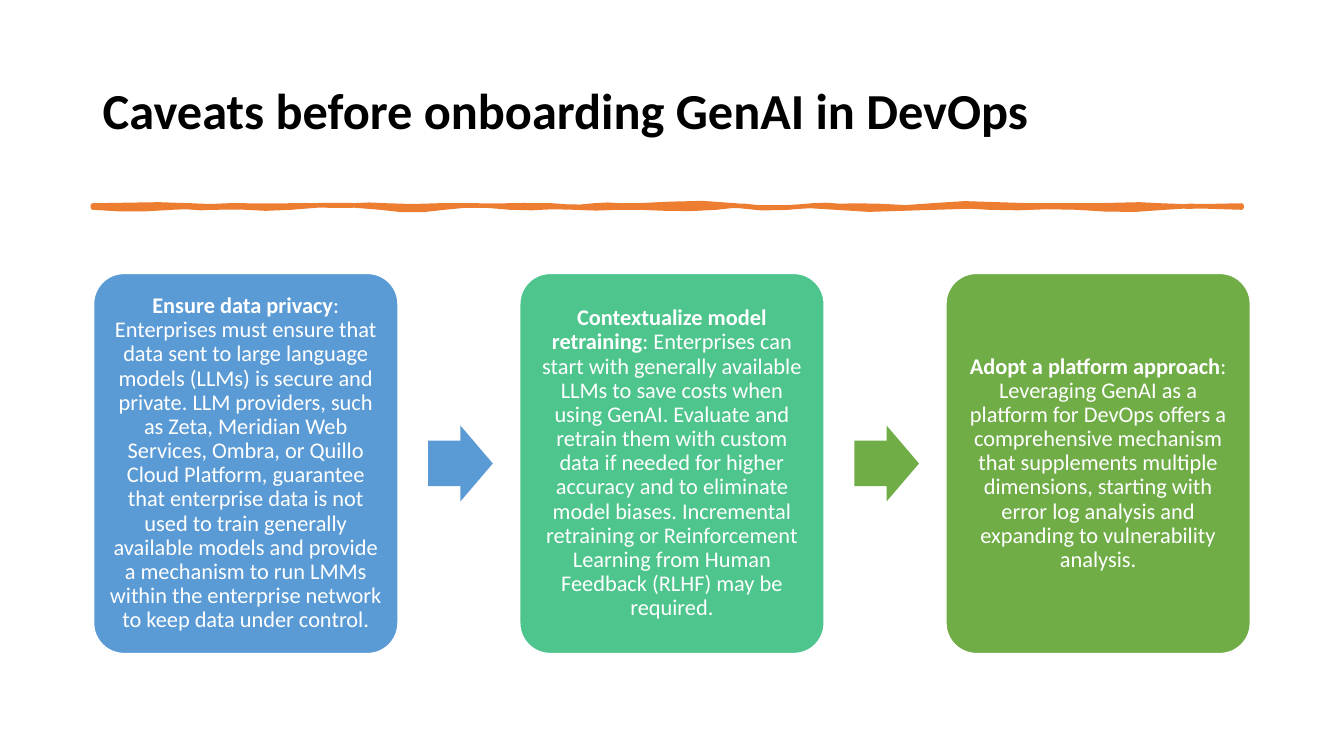
from dataclasses import dataclass

from pptx import Presentation
from pptx.dml.color import RGBColor
from pptx.enum import shapes, text
from pptx.util import Cm, Pt

TITLE = "Caveats before onboarding GenAI in DevOps"

# heading, body, card colour, colour of the arrow that follows
CAVEATS = [
    ("Ensure data privacy",
     ": Enterprises must ensure that data sent to large language models (LLMs) is "
     "secure and private. LLM providers, such as Zeta, Meridian Web Services, Ombra, or "
     "Quillo Cloud Platform, guarantee that enterprise data is not used to train "
     "generally available models and provide a mechanism to run LMMs within the "
     "enterprise network to keep data under control.",
     "5B9BD5", "5B9BD5"),
    ("Contextualize model retraining",
     ": Enterprises can start with generally available LLMs to save costs when using "
     "GenAI. Evaluate and retrain them with custom data if needed for higher accuracy "
     "and to eliminate model biases. Incremental retraining or Reinforcement Learning "
     "from Human Feedback (RLHF) may be required.",
     "4DC58D", "70AD47"),
    ("Adopt a platform approach",
     ": Leveraging GenAI as a platform for DevOps offers a comprehensive mechanism "
     "that supplements multiple dimensions, starting with error log analysis and "
     "expanding to vulnerability analysis.",
     "70AD47", None),
]

# Brush stroke edges: end x in cm, then the bulge leaving and reaching each knot
UPPER_EDGE = [
    (4.83, 0, -2), (6.2, 2, -1), (8.41, 1, -1), (9.75, 1, -2), (11.68, 2, -1),
    (13.92, 1, -1), (14.96, 1, 2), (16.03, -2, 1), (18.54, -1, -4), (20.47, 4, 2),
    (21.54, -2, 2), (23.47, -1, 4), (25.98, -4, 0), (27.61, 0, 0), (29.26, 0, -2),
    (31.29, 2, 0),
]
LOWER_EDGE = [
    (29.36, 0, -3), (27.13, 3, 2), (24.92, -2, 2), (23.57, -2, 0), (21.06, 0, 4),
    (19.13, -4, 2), (18.06, -2, -2), (16.13, 2, 1), (14.48, -1, 2), (12.85, -2, 2),
    (11.2, -2, -3), (9.58, 3, 3), (7.34, -3, -3), (5.41, 3, -2), (4.34, 2, -2),
    (2.34, 2, 2),
]
STROKE_LEFT, STROKE_RIGHT = 2.34, 31.29
STROKE_TOP, STROKE_BOTTOM = 5.18, 5.23
BULGE = 0.03
CURVE_STEPS = 3

CARD_LEFT, CARD_TOP, CARD_WIDTH, CARD_HEIGHT = 2.36, 6.89, 7.67, 9.58
CARD_PITCH = 10.74
ARROW_OFFSET, ARROW_WIDTH, ARROW_HEIGHT = 8.43, 1.63, 1.91


@dataclass(frozen=True)
class Theme:
    font: str = "Calibri"
    title_size: int = 36
    body_size: int = 16
    title_color: str = "000000"
    card_text: str = "FFFFFF"
    card_line: str = "FFFFFF"
    stroke: str = "ED7D31"
    stroke_width: float = 3.25


THEME = Theme()


def paint(shape, fill, line=None, width=1):
    shape.shadow.inherit = False
    shape.fill.solid()
    shape.fill.fore_color.rgb = RGBColor.from_string(fill)
    if line:
        shape.line.color.rgb = RGBColor.from_string(line)
        shape.line.width = Pt(width)
    else:
        shape.line.fill.background()


def write(shape, runs, size, color, alignment):
    """Fill the shape with one paragraph of (wording, bold) runs."""
    frame = shape.text_frame
    frame.word_wrap = True
    frame.vertical_anchor = text.MSO_ANCHOR.MIDDLE
    paragraph = frame.paragraphs[0]
    paragraph.alignment = alignment
    paragraph.line_spacing = 0.9
    for wording, bold in runs:
        run = paragraph.add_run()
        run.text = wording
        run.font.name = THEME.font
        run.font.size = Pt(size)
        run.font.bold = bold
        run.font.color.rgb = RGBColor.from_string(color)


def edge_points(start, y, edge):
    """Sample the wavy edge as cubic curves between knots of equal height."""
    points = [(Cm(start), Cm(y))]
    for end, leaving, reaching in edge:
        for step in range(1, CURVE_STEPS + 1):
            t = step / CURVE_STEPS
            wave = 3 * t * (1 - t) * ((1 - t) * leaving + t * reaching)
            points.append((Cm(start + (end - start) * t), Cm(y + BULGE * wave)))
        start = end
    return points


def add_brush_stroke(slide):
    upper = edge_points(STROKE_LEFT, STROKE_TOP, UPPER_EDGE)
    lower = edge_points(STROKE_RIGHT, STROKE_BOTTOM, LOWER_EDGE)
    builder = slide.shapes.build_freeform(*upper[0])
    builder.add_line_segments(upper[1:] + lower, close=True)
    paint(builder.convert_to_shape(), THEME.stroke, THEME.stroke, THEME.stroke_width)


def add_card(slide, left, heading, body, color):
    card = slide.shapes.add_shape(
        shapes.MSO_SHAPE.ROUNDED_RECTANGLE,
        Cm(left), Cm(CARD_TOP), Cm(CARD_WIDTH), Cm(CARD_HEIGHT))
    card.adjustments[0] = 0.1
    paint(card, color, THEME.card_line)
    frame = card.text_frame
    frame.margin_left = frame.margin_right = Cm(0.18)
    frame.margin_top = frame.margin_bottom = Cm(0.18)
    write(card, [(heading, True), (body, False)],
          THEME.body_size, THEME.card_text, text.PP_ALIGN.CENTER)


def add_arrow(slide, left, color):
    top = CARD_TOP + (CARD_HEIGHT - ARROW_HEIGHT) / 2
    arrow = slide.shapes.add_shape(
        shapes.MSO_SHAPE.RIGHT_ARROW,
        Cm(left), Cm(top), Cm(ARROW_WIDTH), Cm(ARROW_HEIGHT))
    arrow.adjustments[0] = 0.6
    arrow.adjustments[1] = 0.5
    paint(arrow, color)


def main():
    presentation = Presentation()
    presentation.slide_width, presentation.slide_height = Cm(33.87), Cm(19.05)
    slide = presentation.slides.add_slide(presentation.slide_layouts[6])

    title = slide.shapes.add_textbox(Cm(2.34), Cm(1.02), Cm(29.21), Cm(3.68))
    write(title, [(TITLE, True)], THEME.title_size, THEME.title_color,
          text.PP_ALIGN.LEFT)
    add_brush_stroke(slide)

    for index, (heading, body, card_color, arrow_color) in enumerate(CAVEATS):
        left = CARD_LEFT + index * CARD_PITCH
        add_card(slide, left, heading, body, card_color)
        if arrow_color:
            add_arrow(slide, left + ARROW_OFFSET, arrow_color)

    presentation.save("out.pptx")


if __name__ == "__main__":
    main()
